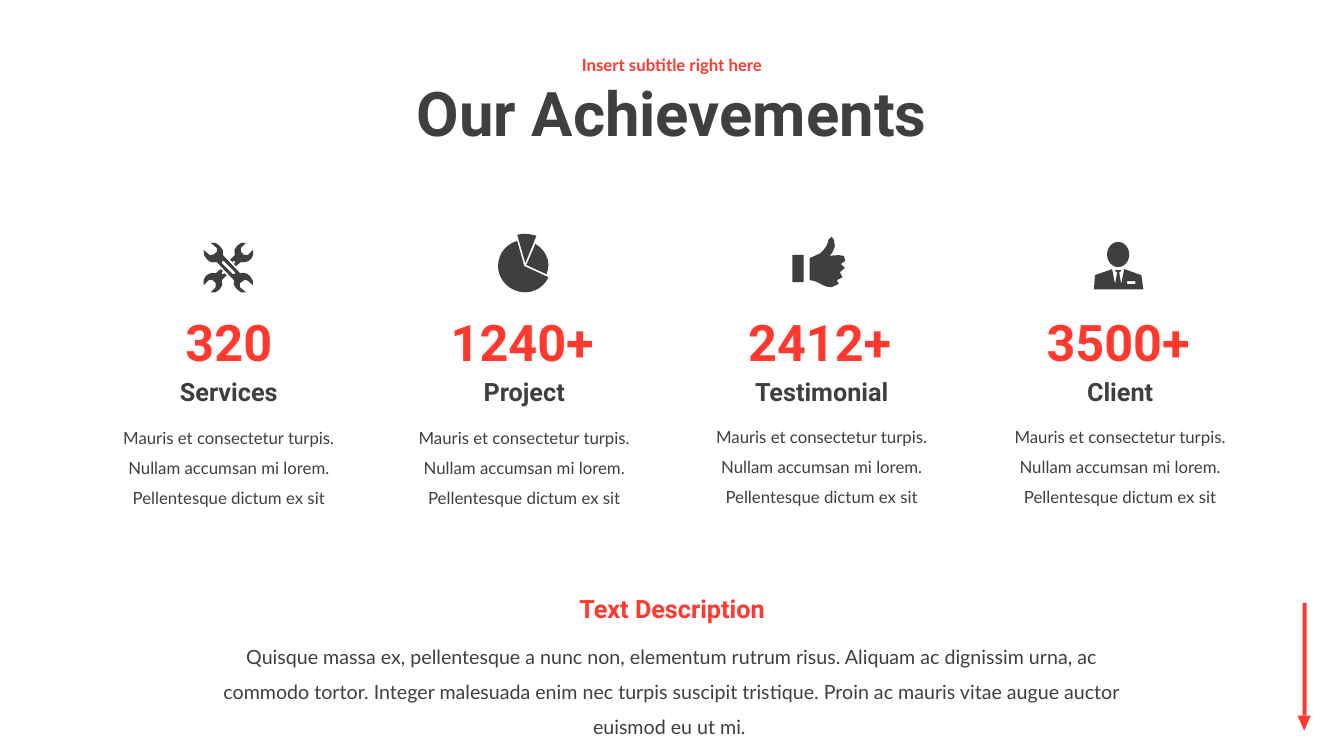
from dataclasses import dataclass
from math import ceil, dist

from lxml import etree
from pptx import Presentation
from pptx.dml.color import RGBColor
from pptx.enum.shapes import MSO_SHAPE
from pptx.enum.text import MSO_ANCHOR, MSO_AUTO_SIZE, PP_ALIGN
from pptx.oxml.ns import qn
from pptx.util import Inches, Pt

RED = RGBColor(0xFF, 0x39, 0x2E)
DARK = RGBColor(0x3F, 0x3F, 0x3F)
WHITE = RGBColor(0xFF, 0xFF, 0xFF)
RECT = MSO_SHAPE.RECTANGLE
OVAL = MSO_SHAPE.OVAL
TRIANGLE = MSO_SHAPE.ISOSCELES_TRIANGLE
CENTER = PP_ALIGN.CENTER
TOP, MIDDLE = MSO_ANCHOR.TOP, MSO_ANCHOR.MIDDLE
GROW, FIXED = MSO_AUTO_SIZE.SHAPE_TO_FIT_TEXT, MSO_AUTO_SIZE.NONE

# An outline step is a point (x, y) or a Bezier curve (x1, y1, x2, y2, x, y)
Outline = list[tuple[float, ...]]


@dataclass
class Style:
    font: str
    size: int
    color: RGBColor
    bold: bool = True
    spacing: float = 1.0
    anchor: MSO_ANCHOR = TOP
    fit: MSO_AUTO_SIZE = GROW


@dataclass
class Achievement:
    number: str
    label: str
    center: float
    number_center: float
    detail_top: float
    label_width: float = 1.86


TITLE = Style("Roboto", 44, DARK, spacing=0.9, anchor=MIDDLE, fit=FIXED)
SUBTITLE = Style("Lato", 12, RED, spacing=0.9, anchor=MIDDLE, fit=FIXED)
NUMBER = Style("Roboto", 36, RED)
LABEL = Style("Roboto", 18, DARK)
HEADING = Style("Roboto", 18, RED)
DETAIL = Style("Lato", 12, DARK, bold=False, spacing=1.5)
BODY = Style("Lato", 14, DARK, bold=False, spacing=1.5)

ACHIEVEMENTS = [
    Achievement("320", "Services", 2.27, 2.27, 4.09),
    Achievement("1240+", "Project", 5.2, 5.18, 4.09),
    Achievement("2412+", "Testimonial", 8.15, 8.13, 4.08, 2.44),
    Achievement("3500+", "Client", 11.11, 11.09, 4.08),
]
DETAIL_TEXT = ("Mauris et consectetur turpis. Nullam accumsan mi lorem. "
               "Pellentesque dictum ex sit")
BODY_TEXT = ("Quisque massa ex, pellentesque a nunc non, elementum rutrum risus. "
             "Aliquam ac dignissim urna, ac commodo tortor. Integer malesuada enim "
             "nec turpis suscipit tristique. Proin ac mauris vitae augue auctor "
             "euismod eu ut mi. ")
SLIDE_WIDTH, SLIDE_HEIGHT = 13.33, 7.5
SLIDE_CENTER = SLIDE_WIDTH / 2

# Pie icon: three slices
PIE: list[Outline] = [
    [(5.22, 2.63), (5.42, 2.72), (5.43, 2.69, 5.44, 2.66, 5.44, 2.63),
     (5.44, 2.54, 5.38, 2.46, 5.31, 2.42)],
    [(5.2, 2.64), (5.13, 2.39), (5.02, 2.42, 4.94, 2.52, 4.94, 2.64),
     (4.94, 2.78, 5.06, 2.9, 5.21, 2.9), (5.31, 2.9, 5.4, 2.84, 5.44, 2.75)],
    [(5.21, 2.61), (5.32, 2.34), (5.29, 2.33, 5.25, 2.32, 5.2, 2.32),
     (5.18, 2.32, 5.16, 2.32, 5.13, 2.33)],
]
# Wrench icon: opposite halves mirror through the centre, so coordinates add up
WRENCH_SUM = (4.53, 5.31)
SHORT_WRENCH: Outline = [
    (2.31, 2.6), (2.31, 2.59), (2.33, 2.59), (2.33, 2.61), (2.32, 2.62),
    (2.34, 2.64), (2.39, 2.6),
    (2.42, 2.61, 2.46, 2.6, 2.49, 2.57), (2.51, 2.55, 2.52, 2.51, 2.51, 2.48),
    (2.46, 2.53), (2.45, 2.54, 2.43, 2.54, 2.42, 2.53), (2.39, 2.5),
    (2.38, 2.49, 2.38, 2.47, 2.39, 2.46), (2.44, 2.41),
    (2.41, 2.4, 2.37, 2.41, 2.35, 2.44), (2.32, 2.46, 2.32, 2.5, 2.33, 2.53),
    (2.28, 2.58)]
LONG_WRENCH_HALF: Outline = [
    (2.39, 2.72), (2.21, 2.53), (2.22, 2.5, 2.21, 2.46, 2.18, 2.44),
    (2.16, 2.41, 2.12, 2.4, 2.09, 2.41), (2.15, 2.46),
    (2.16, 2.47, 2.16, 2.49, 2.15, 2.5), (2.11, 2.53),
    (2.1, 2.54, 2.09, 2.54, 2.08, 2.53), (2.02, 2.48),
    (2.02, 2.51, 2.02, 2.55, 2.05, 2.57), (2.07, 2.6, 2.11, 2.61, 2.15, 2.6)]
SLOT: Outline = [(2.33, 2.72), (2.31, 2.72), (2.2, 2.61), (2.2, 2.59),
                 (2.22, 2.59), (2.33, 2.7)]
# Thumb icon: hand
HAND: Outline = [
    (8.37, 2.54), (8.34, 2.52, 8.23, 2.54, 8.23, 2.54),
    (8.25, 2.52, 8.28, 2.46, 8.28, 2.44), (8.28, 2.41, 8.27, 2.35, 8.25, 2.35),
    (8.22, 2.35, 8.21, 2.4, 8.21, 2.41), (8.2, 2.45, 8.16, 2.49, 8.14, 2.51),
    (8.1, 2.53, 8.08, 2.54, 8.03, 2.56), (8.03, 2.78),
    (8.06, 2.78, 8.08, 2.79, 8.11, 2.8), (8.16, 2.83, 8.19, 2.85, 8.25, 2.85),
    (8.34, 2.85, 8.33, 2.78, 8.3, 2.78), (8.37, 2.78, 8.37, 2.73, 8.33, 2.7),
    (8.4, 2.7, 8.39, 2.62, 8.34, 2.62), (8.39, 2.62, 8.4, 2.56, 8.37, 2.54)]
# Person icon: suit and pocket
SUIT: Outline = [
    (11.32, 2.73), (11.15, 2.67), (11.12, 2.82), (11.1, 2.7), (11.11, 2.7),
    (11.12, 2.68), (11.06, 2.68), (11.07, 2.7), (11.08, 2.7), (11.06, 2.82),
    (11.03, 2.67), (10.86, 2.73), (10.85, 2.87), (11.34, 2.87)]
POCKET: Outline = [(11.26, 2.82), (11.18, 2.82), (11.18, 2.79), (11.26, 2.79)]


def turned(outline: Outline) -> Outline:
    """Turn an outline by 180 degrees about the wrench centre."""
    return [tuple(WRENCH_SUM[i % 2] - v for i, v in enumerate(step))
            for step in outline]


def flatten(outline: Outline) -> list[tuple[int, int]]:
    """Turn curves into chords, about one for each 0.05 inch."""
    points = [outline[0]]
    for step in outline[1:]:
        if len(step) == 2:
            points.append(step)
            continue
        x0, y0 = points[-1]
        x1, y1, x2, y2, x3, y3 = step
        count = ceil(dist((x0, y0), (x3, y3)) / 0.05)
        for t in (k / count for k in range(1, count + 1)):
            a, b, c, d = (1 - t) ** 3, 3 * t * (1 - t) ** 2, 3 * t * t * (1 - t), t ** 3
            points.append((a * x0 + b * x1 + c * x2 + d * x3,
                           a * y0 + b * y1 + c * y2 + d * y3))
    return [(Inches(x), Inches(y)) for x, y in points]


def paint(sp, color: RGBColor, opacity: int = 100) -> None:
    sp.shadow.inherit = False
    sp.fill.solid()
    sp.fill.fore_color.rgb = color
    sp.line.fill.background()
    if opacity < 100:
        clr = sp._element.spPr.find(qn("a:solidFill"))[0]
        etree.SubElement(clr, qn("a:alpha"), val=str(opacity * 1000))


def add_outline(s, *outlines: Outline) -> None:
    first, *holes = [flatten(outline) for outline in outlines]
    builder = s.shapes.build_freeform(*first[0])
    builder.add_line_segments(first[1:], close=True)
    for hole in holes:
        builder.move_to(*hole[0])
        builder.add_line_segments(hole[1:], close=True)
    paint(builder.convert_to_shape(), DARK)


def add_preset(s, kind: MSO_SHAPE, x: float, y: float, w: float, h: float,
               color: RGBColor, rotation: float = 0, opacity: int = 100) -> None:
    sp = s.shapes.add_shape(kind, Inches(x), Inches(y), Inches(w), Inches(h))
    sp.rotation = rotation
    paint(sp, color, opacity)


def add_text(s, text: str, center: float, y: float, w: float, h: float,
             style: Style) -> None:
    sp = s.shapes.add_textbox(Inches(center - w / 2), Inches(y), Inches(w), Inches(h))
    tf = sp.text_frame
    p = tf.paragraphs[0]
    r = p.add_run()
    r.text = text
    r.font.color.rgb = style.color
    formats = {
        tf: {"word_wrap": True, "auto_size": style.fit, "vertical_anchor": style.anchor},
        p: {"alignment": CENTER, "line_spacing": style.spacing},
        r.font: {"name": style.font, "size": Pt(style.size), "bold": style.bold},
    }
    for target, values in formats.items():
        for name, value in values.items():
            setattr(target, name, value)


def main() -> None:
    prs = Presentation()
    prs.slide_width, prs.slide_height = Inches(SLIDE_WIDTH), Inches(SLIDE_HEIGHT)
    s = prs.slides.add_slide(prs.slide_layouts[6])
    # Down arrow and translucent panel
    add_preset(s, RECT, 12.38, 6.52, 1.12, 0.04, RED, rotation=90)
    add_preset(s, TRIANGLE, 12.87, 7.1, 0.13, 0.15, RED, rotation=180)
    add_preset(s, RECT, 0, 1.94, SLIDE_WIDTH, 3.49, WHITE, opacity=85)
    # Title and subtitle
    add_text(s, "Our Achievements", SLIDE_CENTER, 0.64, 7.5, 1.03, TITLE)
    add_text(s, "Insert subtitle right here", SLIDE_CENTER, 0.47, 7.5, 0.38, SUBTITLE)
    # Icons
    for part in (*PIE, SHORT_WRENCH, turned(SHORT_WRENCH)):
        add_outline(s, part)
    add_outline(s, LONG_WRENCH_HALF + turned(LONG_WRENCH_HALF), SLOT)
    add_outline(s, HAND)
    add_preset(s, RECT, 7.86, 2.53, 0.11, 0.27, DARK)
    add_outline(s, SUIT, POCKET)
    add_preset(s, OVAL, 10.98, 2.4, 0.22, 0.25, DARK)
    # Achievement columns
    for a in ACHIEVEMENTS:
        add_text(s, a.label, a.center, 3.68, a.label_width, 0.4, LABEL)
        add_text(s, a.number, a.number_center, 3.04, 2.35, 0.71, NUMBER)
        add_text(s, DETAIL_TEXT, a.center, a.detail_top, 2.62, 0.98, DETAIL)
    # Description
    add_text(s, BODY_TEXT, SLIDE_CENTER, 6.23, 9.5, 0.77, BODY)
    add_text(s, "Text Description", SLIDE_CENTER, 5.84, 2.92, 0.4, HEADING)
    prs.save("out.pptx")


if __name__ == "__main__":
    main()
